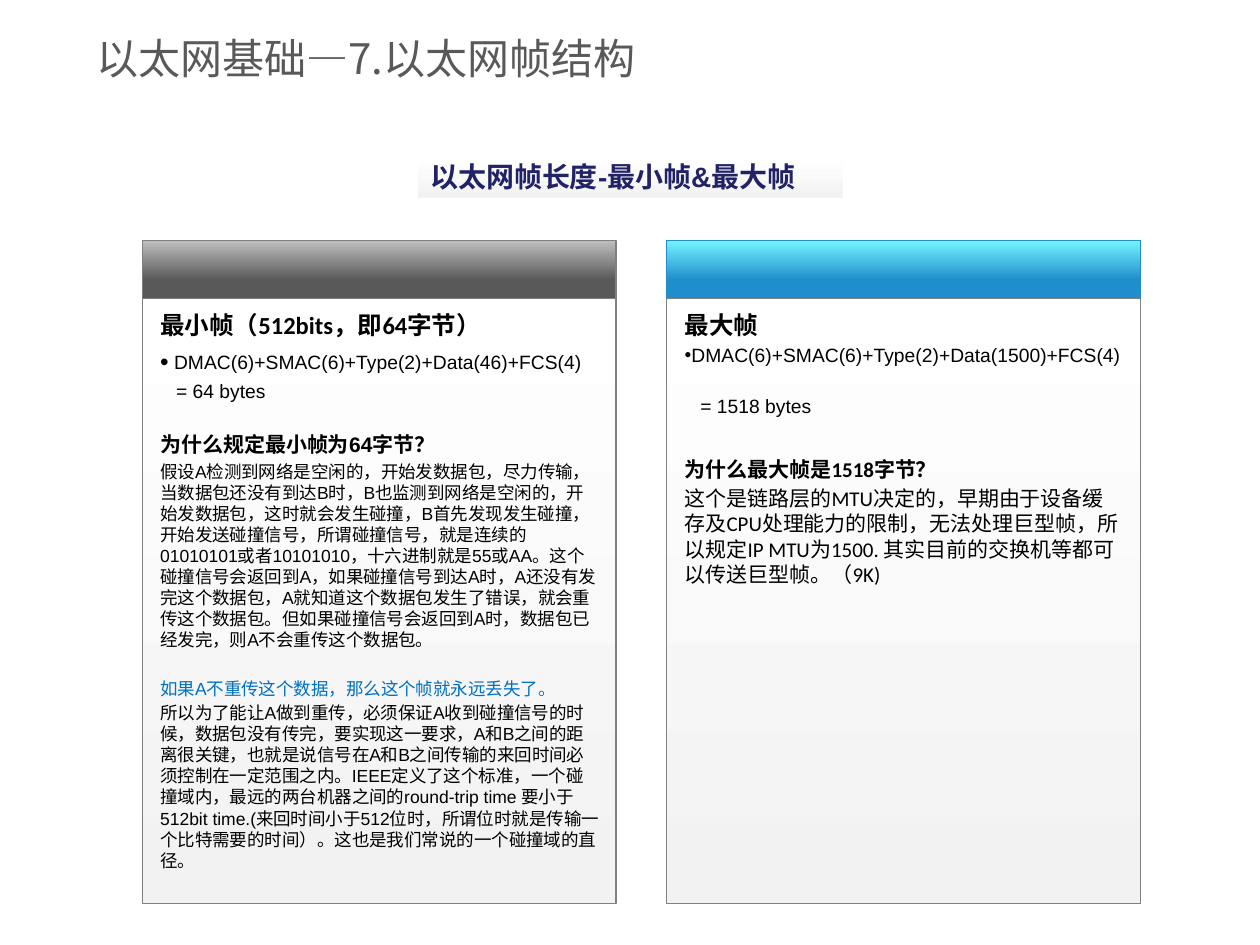
from pptx import Presentation
from pptx.dml.color import RGBColor
from pptx.enum.shapes import MSO_SHAPE
from pptx.enum.text import MSO_ANCHOR, PP_ALIGN
from pptx.oxml.xmlchemy import OxmlElement
from pptx.util import Cm, Pt

COLORS = {
    "white": "FFFFFF", "pale": "F2F2F2", "border": "808080",
    "silver": "BFBFBF", "gray": "595959", "cyan": "74F4FF", "blue": "208ECD",
    "black": "000000", "accent": "0070C0", "navy": "222267",
}


class SlideBuilder:
    """Holds the style and the current slide, and draws its elements."""

    def __init__(self, presentation):
        self.slide = presentation.slides.add_slide(presentation.slide_layouts[6])

    def color(self, name):
        return RGBColor.from_string(COLORS[name])

    def gradient_box(self, left, top, width, height, start, end, line=None):
        shape = self.slide.shapes.add_shape(
            MSO_SHAPE.RECTANGLE, Cm(left), Cm(top), Cm(width), Cm(height))
        shape.shadow.inherit = False
        shape.fill.gradient()
        shape.fill.gradient_angle = 270
        for stop, (position, name) in zip(shape.fill.gradient_stops, (start, end)):
            stop.position = position
            stop.color.rgb = self.color(name)
        if line:
            shape.line.color.rgb = self.color(line)
            shape.line.width = Pt(0.75)
        else:
            shape.line.fill.background()
        return shape

    def text_box(self, left, top, width, height, paragraphs, anchor=MSO_ANCHOR.TOP):
        shape = self.slide.shapes.add_textbox(Cm(left), Cm(top), Cm(width), Cm(height))
        self.fill_text(shape, paragraphs, anchor)

    def fill_text(self, shape, paragraphs, anchor):
        frame = shape.text_frame
        frame.word_wrap = True
        frame.vertical_anchor = anchor
        frame.margin_right = Cm(0.18)
        for index, options in enumerate(paragraphs):
            paragraph = frame.paragraphs[0] if index == 0 else frame.add_paragraph()
            self.paragraph(paragraph, **options)

    def paragraph(self, paragraph, text, size, font="Arial", color="black",
                  bold=False, before=0, indent=0, bullet_percent=None):
        paragraph.text = text
        paragraph.alignment = PP_ALIGN.LEFT
        paragraph.space_before = Pt(before)
        properties = paragraph._p.get_or_add_pPr()
        properties.set("marL", str(Cm(indent)))
        if bullet_percent:
            properties.set("indent", str(-Cm(indent)))
            for tag, key, value in (("a:buSzPct", "val", str(bullet_percent * 1000)),
                                    ("a:buFont", "typeface", "Arial"),
                                    ("a:buChar", "char", "•")):
                element = OxmlElement(tag)
                element.set(key, value)
                properties.append(element)
        paragraph.font.name = font
        paragraph.font.size = Pt(size)
        paragraph.font.bold = bold
        paragraph.font.color.rgb = self.color(color)

    def panel(self, left, header, paragraphs):
        start, end, line = header
        self.gradient_box(left, 4.85, 9.55, 1.42, (0, start), (0.56, end), line)
        self.gradient_box(left, 6.02, 9.55, 12.19, (0, "white"), (1, "pale"), "border")
        self.text_box(left + 0.11, 6.12, 9.3, 11.68, paragraphs)


MINIMUM_FRAME = [
    dict(text="最小帧（512bits，即64字节）", size=14, font="Calibri", bold=True),
    dict(text="DMAC(6)+SMAC(6)+Type(2)+Data(46)+FCS(4)", size=11, before=6.5,
         indent=0.28, bullet_percent=127),
    dict(text="= 64 bytes", size=11, before=3, indent=0.32),
    dict(text="为什么规定最小帧为64字节？", size=12, bold=True, before=17),
    dict(text="假设A检测到网络是空闲的，开始发数据包，尽力传输，当数据包还没有到达B时，"
              "B也监测到网络是空闲的，开始发数据包，这时就会发生碰撞，B首先发现发生碰撞，"
              "开始发送碰撞信号，所谓碰撞信号，就是连续的01010101或者10101010，"
              "十六进制就是55或AA。这个碰撞信号会返回到A，如果碰撞信号到达A时，"
              "A还没有发完这个数据包，A就知道这个数据包发生了错误，就会重传这个数据包。"
              "但如果碰撞信号会返回到A时，数据包已经发完，则A不会重传这个数据包。",
         size=10, before=2),
    dict(text="如果A不重传这个数据，那么这个帧就永远丢失了。", size=10,
         color="accent", before=16),
    dict(text="所以为了能让A做到重传，必须保证A收到碰撞信号的时候，数据包没有传完，"
              "要实现这一要求，A和B之间的距离很关键，也就是说信号在A和B之间传输的来回"
              "时间必须控制在一定范围之内。IEEE定义了这个标准，一个碰撞域内，"
              "最远的两台机器之间的round-trip time 要小于512bit time."
              "(来回时间小于512位时，所谓位时就是传输一个比特需要的时间）。"
              "这也是我们常说的一个碰撞域的直径。", size=10, before=2),
]

MAXIMUM_FRAME = [
    dict(text="最大帧", size=14, bold=True),
    dict(text="DMAC(6)+SMAC(6)+Type(2)+Data(1500)+FCS(4)", size=11, before=2.5,
         indent=0.14, bullet_percent=100),
    dict(text="= 1518 bytes", size=11, before=16, indent=0.32),
    dict(text="为什么最大帧是1518字节？", size=12, font="Calibri", bold=True, before=22),
    dict(text="这个是链路层的MTU决定的，早期由于设备缓存及CPU处理能力的限制，"
              "无法处理巨型帧，所以规定IP MTU为1500. 其实目前的交换机等"
              "都可以传送巨型帧。（9K)", size=12, font="Calibri", before=2.4),
]


def main():
    presentation = Presentation()
    presentation.slide_width = Cm(25.4)
    presentation.slide_height = Cm(19.05)
    builder = SlideBuilder(presentation)
    builder.panel(13.44, ("cyan", "blue", "blue"), MAXIMUM_FRAME)
    builder.panel(2.87, ("silver", "gray", "border"), MINIMUM_FRAME)
    label = builder.gradient_box(8.43, 3.1, 8.56, 0.89, (0.09, "white"), (1, "pale"))
    builder.fill_text(label, [dict(text="以太网帧长度-最小帧&最大帧", size=16,
                                   color="navy", bold=True)], MSO_ANCHOR.MIDDLE)
    builder.text_box(1.7, 0.43, 22.02, 1.47,
                     [dict(text="以太网基础—7.以太网帧结构", size=24,
                           font="Noto Sans CJK SC", color="gray")], MSO_ANCHOR.MIDDLE)
    presentation.save("out.pptx")


if __name__ == "__main__":
    main()
